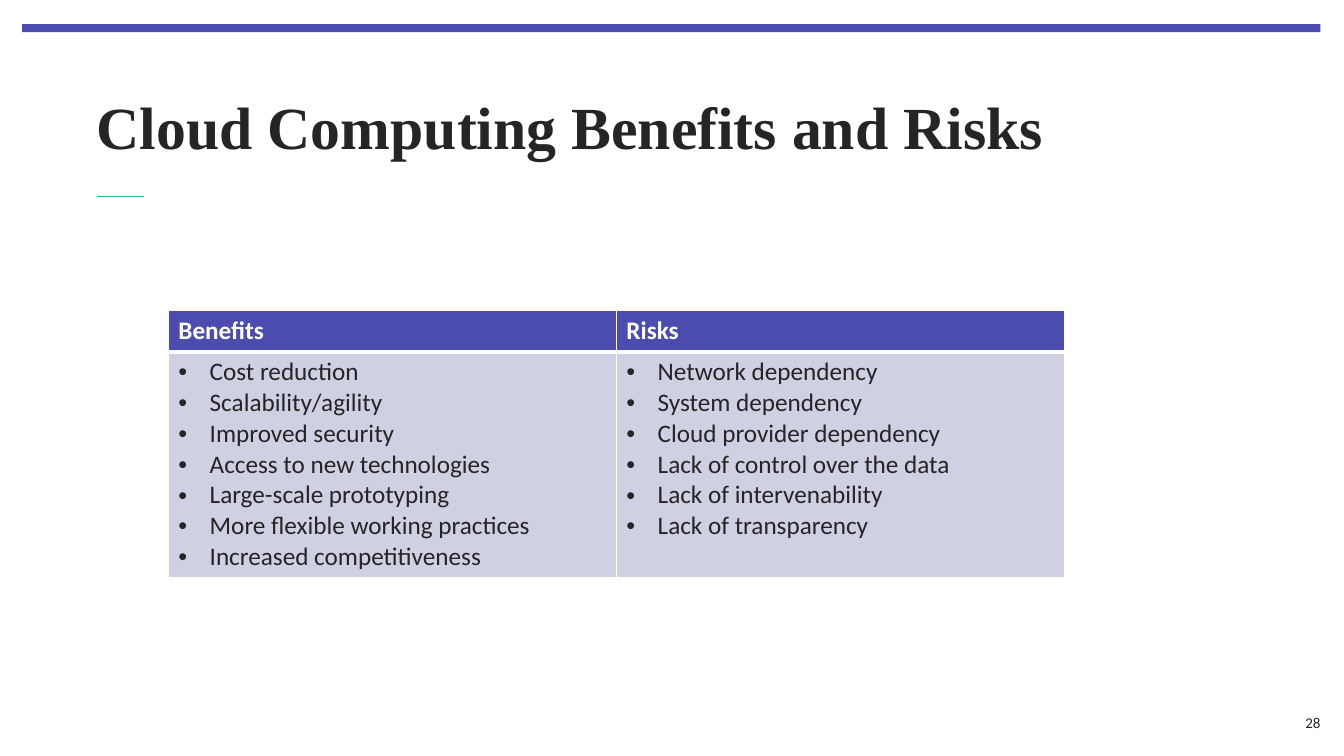
from dataclasses import dataclass

import pptx
import pptx.dml.color
import pptx.enum.shapes
import pptx.enum.text
import pptx.oxml.ns
import pptx.util
from lxml import etree

ALIGN = pptx.enum.text.PP_ALIGN
MIDDLE = pptx.enum.text.MSO_ANCHOR.MIDDLE
INDIGO, LAVENDER, TEAL = "4B4CAD", "D0D0E3", "3BAFA2"
INK, WHITE = "252525", "FFFFFF"
INDENT = pptx.util.Inches(0.31)
THIN, THICK = 1, 3


@dataclass
class Box:
    """A rectangle in percent of the slide's width and height."""
    left: float
    top: float
    width: float
    height: float


@dataclass
class Column:
    heading: str
    items: list[str]


TOP_BAR = Box(1.65, 3.2, 96.6, 1.07)
TITLE = Box(7.2, 8.27, 87.08, 16.67)
ACCENT = Box(7.2, 26, 3.55, 0)
TABLE = Box(12.53, 41.07, 66.67, 35.2)
PAGE_NUMBER = Box(74.93, 94, 23.33, 3.07)
HEADER_HEIGHT = 5.47

COLUMNS = [
    Column("Benefits", ["Cost reduction", "Scalability/agility", "Improved security",
                        "Access to new technologies", "Large-scale prototyping",
                        "More flexible working practices", "Increased competitiveness"]),
    Column("Risks", ["Network dependency", "System dependency",
                     "Cloud provider dependency", "Lack of control over the data",
                     "Lack of intervenability", "Lack of transparency"]),
]

TITLE_FONT = {"name": "Times New Roman", "size": pptx.util.Pt(42.7), "bold": True}
HEADING_FONT = {"name": "Calibri", "size": pptx.util.Pt(18), "bold": True}
ITEM_FONT = HEADING_FONT | {"bold": False}
NUMBER_FONT = ITEM_FONT | {"size": pptx.util.Pt(10.7)}

prs = pptx.Presentation()
prs.slide_width = pptx.util.Inches(13.333)
prs.slide_height = pptx.util.Inches(7.5)


def x(share: float) -> int:
    return round(prs.slide_width * share / 100)


def y(share: float) -> int:
    return round(prs.slide_height * share / 100)


def place(box: Box) -> tuple[int, int, int, int]:
    return x(box.left), y(box.top), x(box.width), y(box.height)


def rgb(color: str) -> pptx.dml.color.RGBColor:
    return pptx.dml.color.RGBColor.from_string(color)


def paint(fill, color: str) -> None:
    fill.solid()
    fill.fore_color.rgb = rgb(color)


def write(p, text: str, font: dict, color: str) -> None:
    r = p.add_run()
    r.text = text
    for name, value in font.items():
        setattr(r.font, name, value)
    r.font.color.rgb = rgb(color)


def write_line(tf, text: str, font: dict, align) -> None:
    """Fill a frame without margins with one vertically centred line."""
    frame_format = {"word_wrap": True, "vertical_anchor": MIDDLE,
                    "auto_size": pptx.enum.text.MSO_AUTO_SIZE.NONE,
                    "margin_left": 0, "margin_top": 0,
                    "margin_right": 0, "margin_bottom": 0}
    for name, value in frame_format.items():
        setattr(tf, name, value)
    p = tf.paragraphs[0]
    p.alignment = align
    write(p, text, font, INK)


def add_bullet(p) -> None:
    pPr = p._p.get_or_add_pPr()
    pPr.set("marL", str(INDENT))
    pPr.set("indent", str(-INDENT))
    etree.SubElement(pPr, pptx.oxml.ns.qn("a:buFont"), typeface="Arial")
    etree.SubElement(pPr, pptx.oxml.ns.qn("a:buChar"), char="•")


def add_borders(cell, top: float, bottom: float) -> None:
    tcPr = cell._tc.get_or_add_tcPr()
    widths = {"lnL": THIN, "lnR": THIN, "lnT": top, "lnB": bottom}
    for i, (side, width) in enumerate(widths.items()):
        ln = etree.Element(pptx.oxml.ns.qn(f"a:{side}"), w=str(pptx.util.Pt(width)))
        fill = etree.SubElement(ln, pptx.oxml.ns.qn("a:solidFill"))
        etree.SubElement(fill, pptx.oxml.ns.qn("a:srgbClr"), val=WHITE)
        tcPr.insert(i, ln)


def add_comparison(slide, columns: list[Column], box: Box) -> None:
    table = slide.shapes.add_table(2, len(columns), *place(box)).table
    table.rows[0].height = y(HEADER_HEIGHT)
    table.rows[1].height = y(box.height - HEADER_HEIGHT)
    for i, column in enumerate(columns):
        table.columns[i].width = x(box.width / len(columns))
        head, body = table.cell(0, i), table.cell(1, i)
        paint(head.fill, INDIGO)
        paint(body.fill, LAVENDER)
        add_borders(head, THIN, THICK)
        add_borders(body, THICK, THIN)
        write(head.text_frame.paragraphs[0], column.heading, HEADING_FONT, WHITE)
        tf = body.text_frame
        for j, item in enumerate(column.items):
            p = tf.add_paragraph() if j else tf.paragraphs[0]
            add_bullet(p)
            write(p, item, ITEM_FONT, INK)


def add_decoration(slide) -> None:
    bar = slide.shapes.add_shape(pptx.enum.shapes.MSO_SHAPE.RECTANGLE, *place(TOP_BAR))
    bar.shadow.inherit = False
    paint(bar.fill, INDIGO)
    bar.line.fill.background()
    left, top, width, height = place(ACCENT)
    rule = slide.shapes.add_connector(pptx.enum.shapes.MSO_CONNECTOR.STRAIGHT,
                                      left, top, left + width, top + height)
    rule.line.color.rgb = rgb(TEAL)
    rule.line.width = pptx.util.Pt(0.5)
    etree.SubElement(rule._element.spPr, pptx.oxml.ns.qn("a:effectLst"))


def main() -> None:
    slide = prs.slides.add_slide(prs.slide_layouts.get_by_name("Title Only"))
    add_decoration(slide)
    title = slide.shapes.title
    title.left, title.top, title.width, title.height = place(TITLE)
    write_line(title.text_frame, "Cloud Computing Benefits and Risks", TITLE_FONT, ALIGN.LEFT)
    add_comparison(slide, COLUMNS, TABLE)
    number = slide.shapes.add_textbox(*place(PAGE_NUMBER))
    write_line(number.text_frame, "28", NUMBER_FONT, ALIGN.RIGHT)
    prs.save("out.pptx")


if __name__ == "__main__":
    main()
